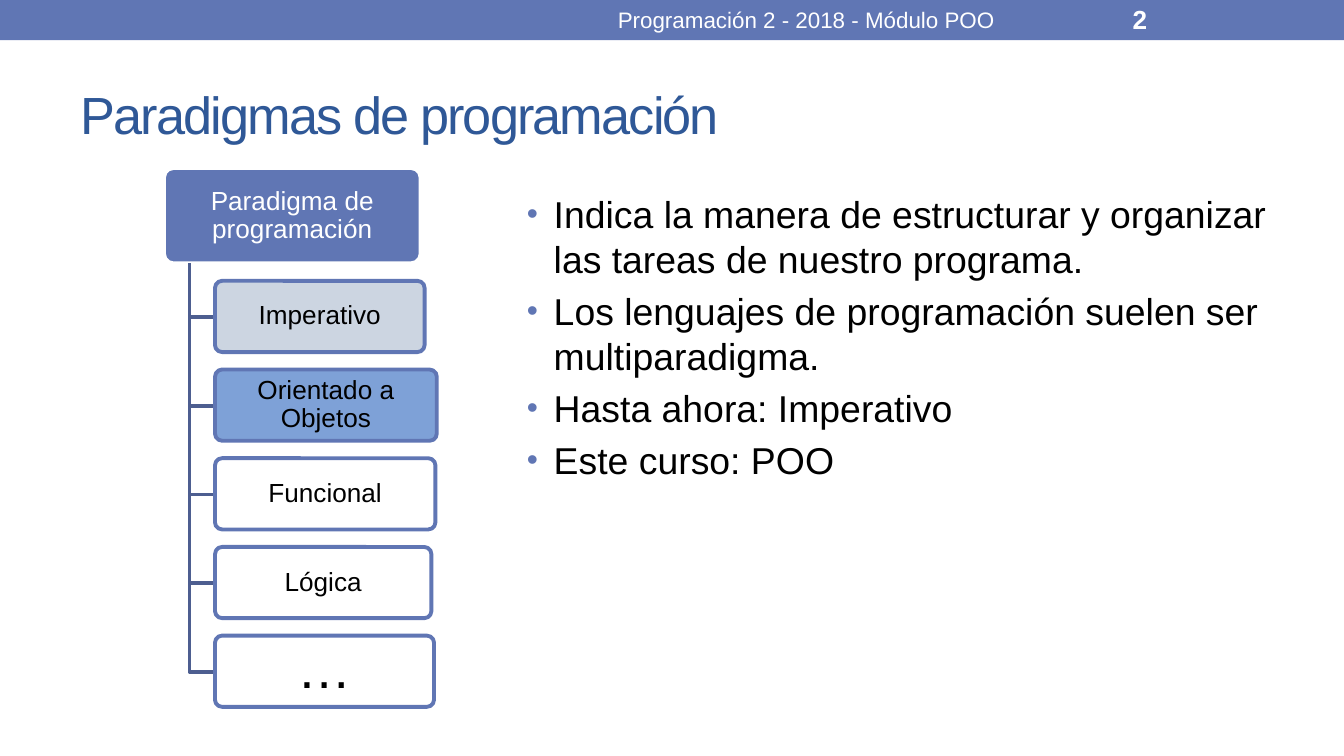
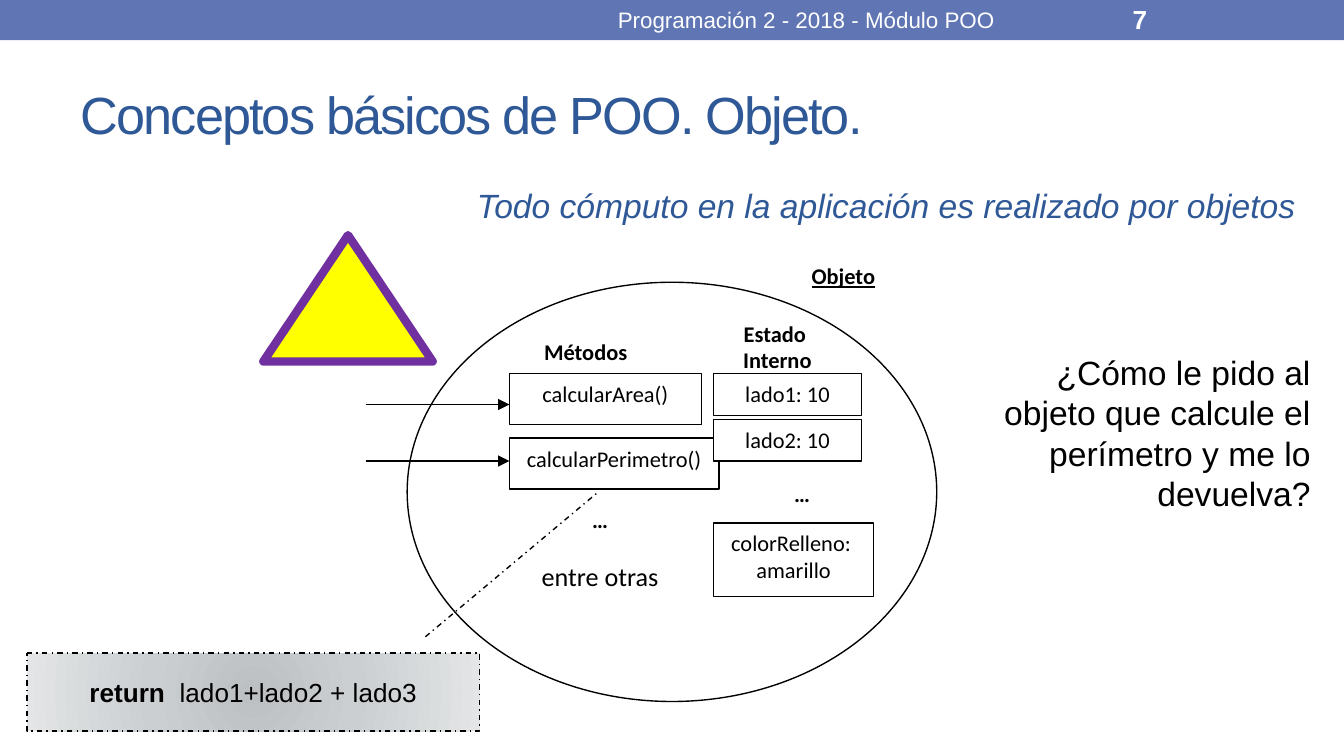
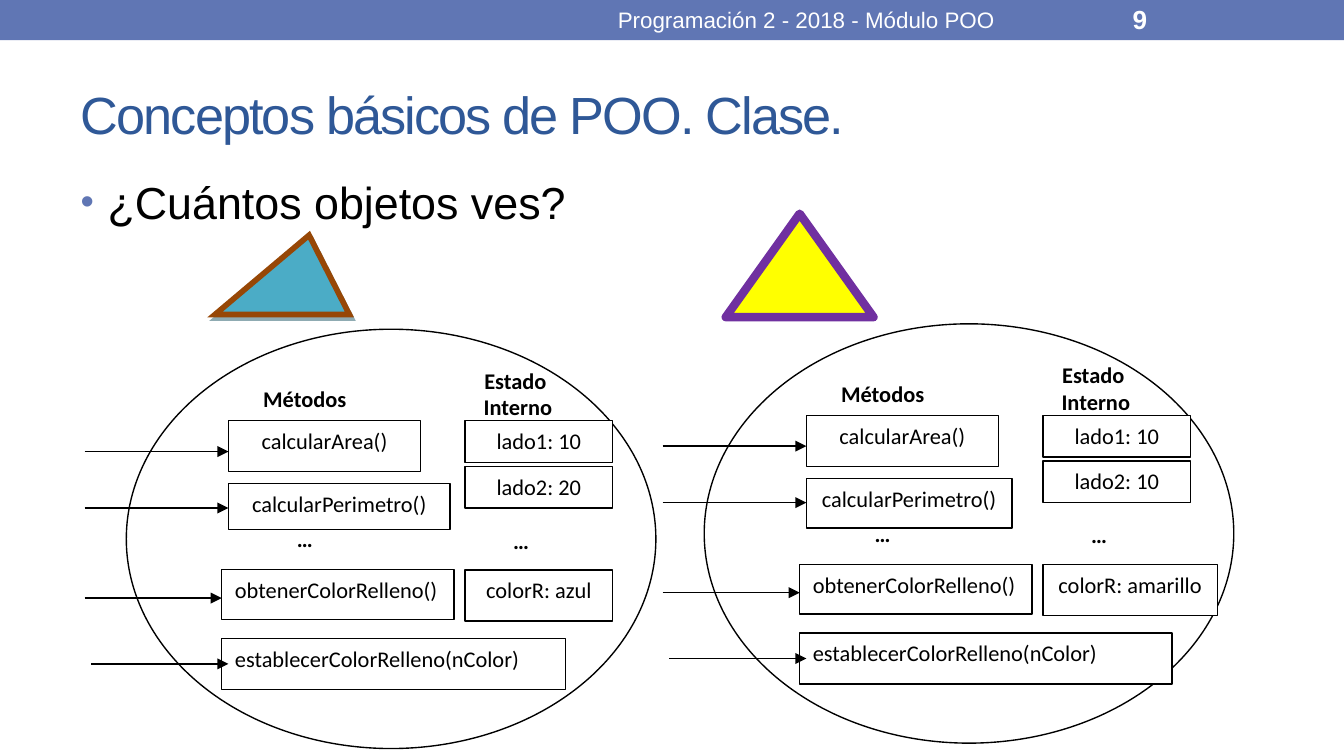
from dataclasses import dataclass
from typing import NamedTuple

from lxml.etree import SubElement
from pptx import Presentation
from pptx.dml.color import RGBColor
from pptx.enum.dml import MSO_LINE
from pptx.enum.shapes import MSO_CONNECTOR, MSO_SHAPE
from pptx.enum.text import MSO_ANCHOR, MSO_AUTO_SIZE, PP_ALIGN
from pptx.oxml.ns import qn
from pptx.util import Inches, Pt

# Shared look
COLORS = {
    "band": "6076B4", "title": "2F5897", "black": "000000", "white": "FFFFFF",
    "branch": "4D5E90", "past": "C7D1DE", "current": "7097D3",
    "yellow": "FFFF00", "purple": "7030A0", "teal": "4BACC6", "brown": "974706",
    "shade": "205867", "core": "BCC0C2", "middle": "CBCFD1", "edge": "E3E5E6",
}
COURSE = "Programación 2 - 2018 - Módulo POO"
LEFT, CENTER, RIGHT = PP_ALIGN.LEFT, PP_ALIGN.CENTER, PP_ALIGN.RIGHT


class Area(NamedTuple):
    left: float
    top: float
    width: float
    height: float

    def shifted(self, dx, dy):
        return Area(self.left + dx, self.top + dy, self.width, self.height)

    def lengths(self):
        return [Inches(value) for value in self]


@dataclass(frozen=True)
class Style:
    size: float
    color: str = "black"
    font: str = "Arial"
    bold: bool = False
    italic: bool = False
    underline: bool = False


TITLE = Style(28, "title")
FOOTER = Style(12, "white")
PAGE = Style(14, "white", bold=True)
NODE = Style(14)
MEMBER = Style(12, font="Calibri")
HEADING = Style(12, font="Calibri", bold=True)


# Objects drawn on the slides
class Paradigm(NamedTuple):
    name: str
    width: float
    fill: str = "white"
    size: float = 14


class Method(NamedTuple):
    name: str
    area: Area
    arrow_top: float
    arrow_from: float = -0.31
    arrow_to: float = 0.76
    align: PP_ALIGN = CENTER


class Attribute(NamedTuple):
    text: str
    area: Area


class Label(NamedTuple):
    text: str
    area: Area
    align: PP_ALIGN = LEFT
    style: Style = HEADING


@dataclass(frozen=True)
class ObjectDiagram:
    """Areas of the members are relative to the corner of the ellipse."""
    left: float
    top: float
    methods: list[Method]
    attributes: list[Attribute]
    labels: list[Label]


def rgb(name: str) -> RGBColor:
    return RGBColor.from_string(COLORS[name])


def child(parent, tag: str, **attributes):
    return SubElement(parent, qn(tag), {key: str(value) for key, value in attributes.items()})


def color_child(parent, name: str):
    return child(parent, "a:srgbClr", val=COLORS[name])


# Text
def add_run(paragraph, text: str, style: Style):
    run = paragraph.add_run()
    run.text = text
    font = run.font
    font.size, font.name = Pt(style.size), style.font
    font.bold, font.italic, font.underline = style.bold, style.italic, style.underline
    font.color.rgb = rgb(style.color)
    return run


def write(frame, text: str, style: Style, align=LEFT, anchor=MSO_ANCHOR.TOP):
    """Write one paragraph per line of the text."""
    frame.word_wrap = True
    frame.auto_size = MSO_AUTO_SIZE.NONE
    frame.vertical_anchor = anchor
    for index, line in enumerate(text.split("\n")):
        paragraph = frame.add_paragraph() if index else frame.paragraphs[0]
        paragraph.alignment = align
        add_run(paragraph, line, style)
    return frame


def add_text(slide, area: Area, text: str, style: Style, align=LEFT, anchor=MSO_ANCHOR.TOP):
    box = slide.shapes.add_textbox(*area.lengths())
    return write(box.text_frame, text, style, align, anchor)


def place(placeholder, area: Area) -> None:
    placeholder.left, placeholder.top, placeholder.width, placeholder.height = area.lengths()


def add_list(slide, area: Area, text: str, size: float) -> None:
    body = slide.placeholders[1]
    place(body, area)
    frame = write(body.text_frame, text, Style(size))
    for paragraph in frame.paragraphs:
        properties = paragraph._p.get_or_add_pPr()
        properties.set("marL", str(Inches(0.2)))
        properties.set("indent", str(-Inches(0.2)))
        color_child(child(properties, "a:buClr"), "band")
        child(properties, "a:buSzPct", val=85000)
        child(properties, "a:buChar", char="•")


# Shapes
def add_figure(slide, kind, area: Area, fill: str, line: str | None = None, weight: float = 0.75):
    figure = slide.shapes.add_shape(kind, *area.lengths())
    figure.shadow.inherit = False
    figure.fill.solid()
    figure.fill.fore_color.rgb = rgb(fill)
    if line:
        figure.line.color.rgb = rgb(line)
        figure.line.width = Pt(weight)
    else:
        figure.line.fill.background()
    return figure


def add_member(slide, area: Area, text: str, align=CENTER):
    box = add_figure(slide, MSO_SHAPE.RECTANGLE, area, "white", "black")
    return write(box.text_frame, text, MEMBER, align)


def add_arrow(slide, start: float, end: float, top: float) -> None:
    arrow = slide.shapes.add_connector(
        MSO_CONNECTOR.STRAIGHT, Inches(start), Inches(top), Inches(end), Inches(top))
    arrow.line.color.rgb = rgb("black")
    arrow.line.width = Pt(0.75)
    child(arrow.line._get_or_add_ln(), "a:tailEnd", type="triangle")
    child(arrow._element.spPr, "a:effectLst")


def add_yellow_triangle(slide, area: Area) -> None:
    triangle = add_figure(slide, MSO_SHAPE.ISOSCELES_TRIANGLE, area, "yellow", "purple", 4.5)
    child(triangle.line._get_or_add_ln(), "a:round")


def add_blue_triangle(slide, area: Area) -> None:
    triangle = add_figure(slide, MSO_SHAPE.ISOSCELES_TRIANGLE, area, "teal", "brown", 3)
    triangle.adjustments[0] = 0.7
    child(triangle.line._get_or_add_ln(), "a:miter", lim=800000)
    effects = triangle._element.spPr.find(qn("a:effectLst"))
    shadow = child(effects, "a:outerShdw", blurRad=0, dist=Pt(2.2), dir=63 * 60000,
                   algn="ctr", rotWithShape=0)
    child(color_child(shadow, "shade"), "a:alpha", val=50000)


def add_object(slide, diagram: ObjectDiagram) -> None:
    x, y = diagram.left, diagram.top
    add_figure(slide, MSO_SHAPE.OVAL, Area(x, y, 3.94, 3.12), "white", "black")
    for method in diagram.methods:
        add_member(slide, method.area.shifted(x, y), method.name, method.align)
    for label in diagram.labels:
        add_text(slide, label.area.shifted(x, y), label.text, label.style, label.align)
    for attribute in diagram.attributes:
        add_member(slide, attribute.area.shifted(x, y), attribute.text)
    for method in diagram.methods:
        add_arrow(slide, x + method.arrow_from, x + method.arrow_to, y + method.arrow_top)


def add_slide(deck, layout: int, title: str, page: int):
    slide = deck.slides.add_slide(deck.slide_layouts[layout])
    add_figure(slide, MSO_SHAPE.RECTANGLE, Area(0, 0, 10, 0.3), "band")
    place(slide.shapes.title, Area(0.5, 0.44, 9, 0.81))
    frame = write(slide.shapes.title.text_frame, title, TITLE, anchor=MSO_ANCHOR.MIDDLE)
    frame.paragraphs[0].runs[0].font._element.set("spc", "-100")
    add_text(slide, Area(8.33, 0.01, 1.17, 0.27), str(page), PAGE, anchor=MSO_ANCHOR.MIDDLE)
    add_text(slide, Area(3.75, 0.01, 4.5, 0.27), COURSE, FOOTER, CENTER, MSO_ANCHOR.MIDDLE)
    return slide


# Slide: paradigms
PARADIGMS = [
    Paradigm("Imperativo", 1.56, "past"),
    Paradigm("Orientado a Objetos", 1.65, "current"),
    Paradigm("Funcional", 1.64),
    Paradigm("Lógica", 1.61),
    Paradigm("…", 1.63, size=29),
]


def add_node(slide, area: Area, text: str, style: Style, fill: str, line: str):
    node = add_figure(slide, MSO_SHAPE.ROUNDED_RECTANGLE, area, fill, line, 2.08)
    node.adjustments[0] = 0.1
    frame = write(node.text_frame, text, style, CENTER, MSO_ANCHOR.MIDDLE)
    frame.margin_left = frame.margin_right = Inches(0.05)
    frame.margin_top = frame.margin_bottom = Inches(0.04)
    frame.paragraphs[0].line_spacing = 0.9
    return node


def add_branch(slide, end_y: float) -> None:
    trunk_x, start_y, end_x = Inches(1.41), Inches(1.96), Inches(1.6)
    builder = slide.shapes.build_freeform(trunk_x, start_y)
    builder.add_line_segments([(trunk_x, Inches(end_y)), (end_x, Inches(end_y))], close=False)
    branch = builder.convert_to_shape()
    branch.shadow.inherit = False
    branch.fill.background()
    branch.line.color.rgb = rgb("branch")
    branch.line.width = Pt(2.08)


def build_paradigms(deck) -> None:
    slide = add_slide(deck, 1, "Paradigmas de programación", 2)
    add_node(slide, Area(1.22, 1.25, 1.91, 0.71), "Paradigma de programación",
             Style(14, "white"), "band", "white")
    for index, paradigm in enumerate(PARADIGMS):
        top = 2.09 + 0.66 * index
        add_branch(slide, top + 0.27)
        node = add_node(slide, Area(1.6, top, paradigm.width, 0.53), paradigm.name,
                        Style(paradigm.size), paradigm.fill, "band")
        tint = node._element.spPr.find(qn("a:solidFill"))[0]
        child(tint, "a:alpha", val=90000)
    add_list(slide, Area(3.82, 1.37, 5.91, 3.87),
             "Indica la manera de estructurar y organizar las tareas de nuestro programa.\n"
             "Los lenguajes de programación suelen ser multiparadigma.\n"
             "Hasta ahora: Imperativo\n"
             "Este curso: POO", 20)


# Slide: one object
METHODS_LABEL = Label("Métodos", Area(0.92, 0.37, 1.14, 0.37))
MORE_STATE = Label("…", Area(2.78, 1.42, 1.39, 0.47))


def state_label(left: float) -> Label:
    return Label("Estado\n Interno", Area(left, 0.23, 1.45, 0.43), CENTER)


def area_method() -> Method:
    return Method("calcularArea()", Area(0.76, 0.68, 1.43, 0.38), 0.91)


def perimeter_method(top: float, width: float, height: float) -> Method:
    return Method("calcularPerimetro()", Area(0.76, top, width, height), 1.33)


def sides(left: float, second: int) -> list[Attribute]:
    return [Attribute("lado1: 10", Area(left, 0.68, 1.1, 0.31)),
            Attribute(f"lado2: {second}", Area(left, 1.02, 1.1, 0.31))]


def add_return_callout(slide) -> None:
    callout = add_figure(slide, MSO_SHAPE.LINE_CALLOUT_1, Area(0.2, 4.86, 3.37, 0.58),
                         "middle", "black")
    for index, value in enumerate((-0.21, 0.88, -2.06, 1.26)):
        callout.adjustments[index] = value
    callout.line.dash_style = MSO_LINE.DASH_DOT
    frame = write(callout.text_frame, "return", Style(14, bold=True), CENTER, MSO_ANCHOR.MIDDLE)
    add_run(frame.paragraphs[0], "  lado1+lado2 + lado3", NODE)
    # Radial gradient
    callout.fill.gradient()
    gradient = callout._element.spPr.find(qn("a:gradFill"))
    for part in list(gradient):
        gradient.remove(part)
    stops = child(gradient, "a:gsLst")
    for position, name in ((0, "core"), (45, "middle"), (100, "edge")):
        color_child(child(stops, "a:gs", pos=position * 1000), name)
    center = child(gradient, "a:path", path="circle")
    child(center, "a:fillToRect", **dict.fromkeys("ltrb", 100000))


def build_object(deck) -> None:
    slide = add_slide(deck, 5, "Conceptos básicos de POO. Objeto.", 7)
    add_yellow_triangle(slide, Area(1.96, 1.75, 1.26, 0.94))
    add_object(slide, ObjectDiagram(
        3.03, 2.1,
        [area_method(), perimeter_method(1.16, 1.56, 0.38)],
        sides(2.28, 10),
        [METHODS_LABEL, state_label(2.01), MORE_STATE,
         Label("Objeto", Area(2.91, -0.2, 1.07, 0.45),
               style=Style(12, font="Calibri", bold=True, underline=True))]))
    color = add_member(slide, Area(5.31, 3.89, 1.19, 0.55), "colorRelleno: ").paragraphs[0]
    color.add_line_break()
    add_run(color, "amarillo", MEMBER)

    others = add_text(slide, Area(3.58, 3.72, 1.77, 0.73), "…", HEADING, CENTER).add_paragraph()
    others.alignment = CENTER
    others.space_before = Pt(14.5)
    add_run(others, "entre otras", Style(14, font="Calibri"))

    add_text(slide, Area(7.05, 2.57, 2.8, 1.92),
             "¿Cómo le pido al objeto que calcule el perímetro y me lo devuelva?",
             Style(18), RIGHT)
    add_return_callout(slide)
    add_text(slide, Area(3.45, 1.33, 6.38, 0.4),
             "Todo cómputo en la aplicación es realizado por objetos",
             Style(18, "title", italic=True))


# Slide: two objects of one class
def colored_object(left: float, top: float, second_side: int, perimeter: Method,
                   color: Attribute, setter_width: float) -> ObjectDiagram:
    return ObjectDiagram(
        left, top,
        [area_method(), perimeter,
         Method("obtenerColorRelleno()", Area(0.71, 1.79, 1.73, 0.37), 2.0,
                arrow_to=0.71, align=LEFT),
         Method("establecerColorRelleno(nColor)", Area(0.71, 2.3, setter_width, 0.38), 2.49,
                arrow_from=-0.26, align=LEFT)],
        sides(2.52, second_side) + [color],
        [METHODS_LABEL, state_label(2.17), MORE_STATE,
         Label("…", Area(1.17, 1.41, 1.39, 0.47))])


def build_class(deck) -> None:
    slide = add_slide(deck, 1, "Conceptos básicos de POO. Clase.", 9)
    add_list(slide, Area(0.5, 1.25, 9.07, 0.87), "¿Cuántos objetos ves?", 24)
    add_object(slide, colored_object(
        0.94, 2.45, 20, perimeter_method(1.15, 1.65, 0.34),
        Attribute("colorR: azul", Area(2.52, 1.79, 1.1, 0.38)), 2.56))
    add_blue_triangle(slide, Area(1.6, 1.75, 1, 0.59))
    add_yellow_triangle(slide, Area(5.4, 1.59, 1.1, 0.77))
    add_object(slide, colored_object(
        5.24, 2.41, 10, perimeter_method(1.15, 1.53, 0.37),
        Attribute("colorR: amarillo", Area(2.52, 1.79, 1.3, 0.38)), 2.77))


def main() -> None:
    deck = Presentation()
    # Widescreen, 16:9
    deck.slide_width = Inches(10)
    deck.slide_height = deck.slide_width * 9 // 16
    build_paradigms(deck)
    build_object(deck)
    build_class(deck)
    deck.save("out.pptx")


if __name__ == "__main__":
    main()
